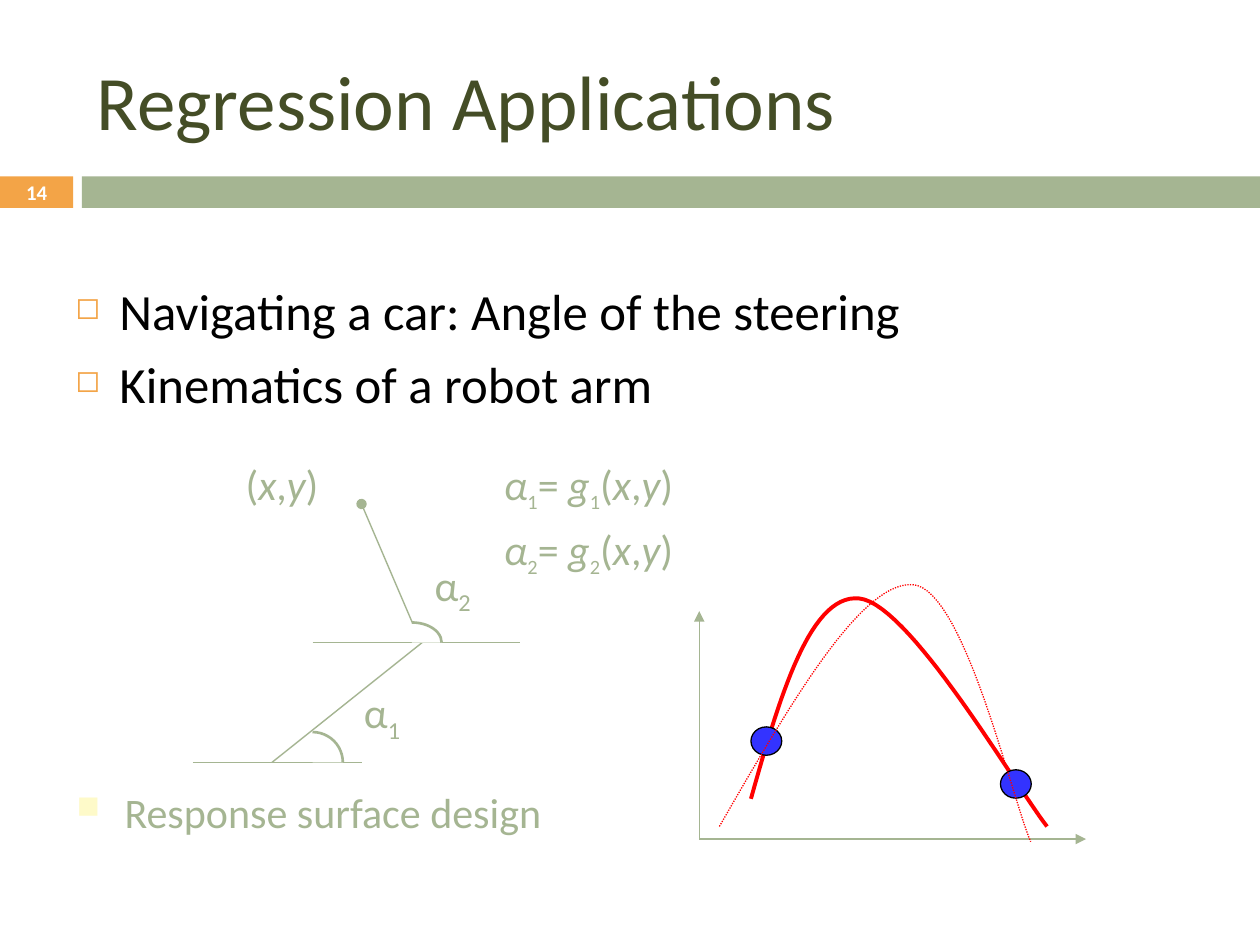
from lxml import etree
from pptx import Presentation, util as u
from pptx.dml.color import RGBColor
from pptx.enum import dml, shapes, text
from pptx.oxml import ns

Pt = u.Pt
COLORS = {"title": "444D26", "sage": "A5B592", "orange": "F3A447", "white": "FFFFFF",
          "black": "000000", "cream": "FEFAC9", "red": "FF0000", "blue": "3333FF"}
FONT = "Calibri"

TITLE = "Regression Applications"
PAGE = "14"
APPLICATIONS = ["Navigating a car: Angle of the steering", "Kinematics of a robot arm"]
DESIGN = "Response surface design"
# Runs are (text, style): "i" italic, "s" subscript, "" plain
POINT = [("(", ""), ("x", "i"), (",", ""), ("y", "i"), (")", "")]
FORMULAS = [[("α", "i"), (n, "s"), ("= ", ""), ("g", "i"), (n, "s")] + POINT for n in "12"]
# Label runs, left, top, width, height
LABELS = [([("α", ""), ("1", "s")], 200.9, 388.8, 36.7, 36),
          ([("α", ""), ("2", "s")], 241.2, 316.1, 36.7, 36),
          (POINT, 133.2, 258.5, 56.9, 36.7)]
# Start, end, end marker
ARM = [((110.2, 435.6), (206.6, 435.6), None),
       ((155.5, 435.6), (241.2, 367.2), None),
       ((240.5, 367.2), (206.6, 288), "oval"),
       ((178.6, 367.2), (297.4, 367.2), None)]
AXES = [((399.6, 479.5), (620.6, 479.5), "triangle"),
        ((399.6, 479.5), (399.6, 349.2), "triangle")]
# Angle centre, horizontal and vertical radius
ANGLES = [(235.4, 367.2, 17, 11.5), (178.6, 435.6, 17.3, 17.3)]
# Bezier knots and handles
FITTED = [(429.1, 456.5), (445.7, 397.4), (463, 339.1), (491, 342),
          (519.8, 344.9), (580.3, 449.3), (598.3, 472.3)]
ALTERNATIVE = [(411.1, 472.3), (451.4, 402.5), (491.8, 332.6), (521.3, 334.1),
               (550.8, 335.5), (578.2, 456.5), (589, 481)]
SAMPLES = [(429.1, 415.4), (571.7, 439.9)]


def color(name):
    """Return a named colour."""
    return RGBColor.from_string(COLORS[name])


def style(run, size, name, bold=False):
    """Format a run."""
    run.font.size, run.font.name, run.font.bold = Pt(size), FONT, bold
    run.font.color.rgb = color(name)


def text_box(left, top, width, height, wrap=True):
    """Add a text box and return its frame."""
    frame = slide.shapes.add_textbox(*map(Pt, (left, top, width, height))).text_frame
    frame.word_wrap = wrap
    return frame


def write_math(paragraph, runs, sub_size):
    """Write runs with italics and subscripts."""
    for words, kind in runs:
        run = paragraph.add_run()
        run.text = words
        style(run, sub_size if kind == "s" else 24, "sage")
        run.font.italic = kind == "i"
        if kind == "s":
            run.font._element.set("baseline", "-25000")


def add_bullet(paragraph, char, name, percent, indent):
    """Give a paragraph a coloured bullet and a hanging indent."""
    props = paragraph._p.get_or_add_pPr()
    props.set("marL", str(Pt(indent)))
    props.set("indent", str(-Pt(indent)))
    tint = etree.SubElement(props, ns.qn("a:buClr"))
    etree.SubElement(tint, ns.qn("a:srgbClr"), val=COLORS[name])
    etree.SubElement(props, ns.qn("a:buSzPct"), val=str(percent * 1000))
    etree.SubElement(props, ns.qn("a:buChar"), char=char)


def add_shape(kind, box, fill, line=None, width=0.75):
    """Add a preset shape without shadow."""
    shape = slide.shapes.add_shape(kind, *map(Pt, box))
    shape.shadow.inherit = False
    shape.fill.solid()
    shape.fill.fore_color.rgb = color(fill)
    if line:
        shape.line.color.rgb, shape.line.width = color(line), Pt(width)
    else:
        shape.line.fill.background()
    return shape


def add_line(start, end, marker):
    """Add a thin line with an optional end marker."""
    line = slide.shapes.add_connector(shapes.MSO_CONNECTOR.STRAIGHT, *map(Pt, start + end))
    line.line.color.rgb, line.line.width = color("sage"), Pt(0.79)
    if marker:
        etree.SubElement(line.line._get_or_add_ln(), ns.qn("a:tailEnd"), type=marker)
    etree.SubElement(line._element.spPr, ns.qn("a:effectLst"))


def bezier(p0, p1, p2, p3, steps=30):
    """Return points along one cubic segment, without its start."""
    result = []
    for step in range(1, steps + 1):
        t = step / steps
        s = 1 - t
        weights = (s ** 3, 3 * s * s * t, 3 * s * t * t, t ** 3)
        result.append(tuple(Pt(sum(w * p[axis] for w, p in zip(weights, (p0, p1, p2, p3))))
                            for axis in (0, 1)))
    return result


def add_curve(knots, width, dash=None):
    """Draw a smooth red curve through the knots."""
    points = [p for i in range(0, len(knots) - 1, 3) for p in bezier(*knots[i:i + 4])]
    builder = slide.shapes.build_freeform(*map(Pt, knots[0]), scale=1.0)
    builder.add_line_segments(points, close=False)
    curve = builder.convert_to_shape()
    curve.shadow.inherit = False
    curve.fill.background()
    curve.line.color.rgb, curve.line.width = color("red"), Pt(width)
    if dash:
        curve.line.dash_style = dash


deck = Presentation()
deck.slide_width, deck.slide_height = Pt(720), Pt(540)
slide = deck.slides.add_slide(deck.slide_layouts[5])

# Header
title = slide.shapes.title
title.left, title.top, title.width, title.height = map(Pt, (48.2, 18, 642.2, 77.8))
title.text_frame.text = TITLE
title.text_frame.auto_size = text.MSO_AUTO_SIZE.NONE
title.text_frame.vertical_anchor = text.MSO_ANCHOR.MIDDLE
title.text_frame.paragraphs[0].alignment = text.PP_ALIGN.LEFT
style(title.text_frame.paragraphs[0].runs[0], 44, "title")

RECT = shapes.MSO_SHAPE.RECTANGLE
add_shape(RECT, (46.8, 100.8, 673.2, 18), "sage")
page = add_shape(RECT, (0, 100.8, 41.8, 18), "orange").text_frame
page.margin_top = page.margin_bottom = 0
page.text = PAGE
page.vertical_anchor = text.MSO_ANCHOR.MIDDLE
page.paragraphs[0].alignment = text.PP_ALIGN.CENTER
style(page.paragraphs[0].runs[0], 11.9, "white", bold=True)

# Bulleted text
applications = text_box(36, 156.2, 648, 142.6)
applications.text = "\n".join(APPLICATIONS)
for item in applications.paragraphs:
    item.space_before = Pt(7)
    style(item.runs[0], 29, "black")
    add_bullet(item, "◻", "orange", 60, 25.2)

design = text_box(36.7, 445.7, 648, 51.1)
design.text = DESIGN
design.paragraphs[0].space_before = Pt(5.8)
style(design.paragraphs[0].runs[0], 24, "sage")
add_bullet(design.paragraphs[0], "■", "cream", 75, 27.4)

formulas = text_box(280.8, 258.5, 175.7, 85)
for number, runs in enumerate(FORMULAS):
    formula = formulas.add_paragraph() if number else formulas.paragraphs[0]
    formula.space_before = Pt(5.8)
    write_math(formula, runs, 20)

# Robot arm
for segment in ARM + AXES:
    add_line(*segment)
for runs, *box in LABELS:
    write_math(text_box(*box, wrap=False).paragraphs[0], runs, 24)
for x, y, rx, ry in ANGLES:
    add_shape(shapes.MSO_SHAPE.ARC, (x - rx, y - ry, 2 * rx, 2 * ry), "white", "sage", 1.5)

# Response curves
add_curve(FITTED, 2.25)
for x, y in SAMPLES:
    add_shape(shapes.MSO_SHAPE.OVAL, (x, y, 17.6, 16.2), "blue", "black")
add_curve(ALTERNATIVE, 0.75, dml.MSO_LINE.ROUND_DOT)

deck.save("out.pptx")
